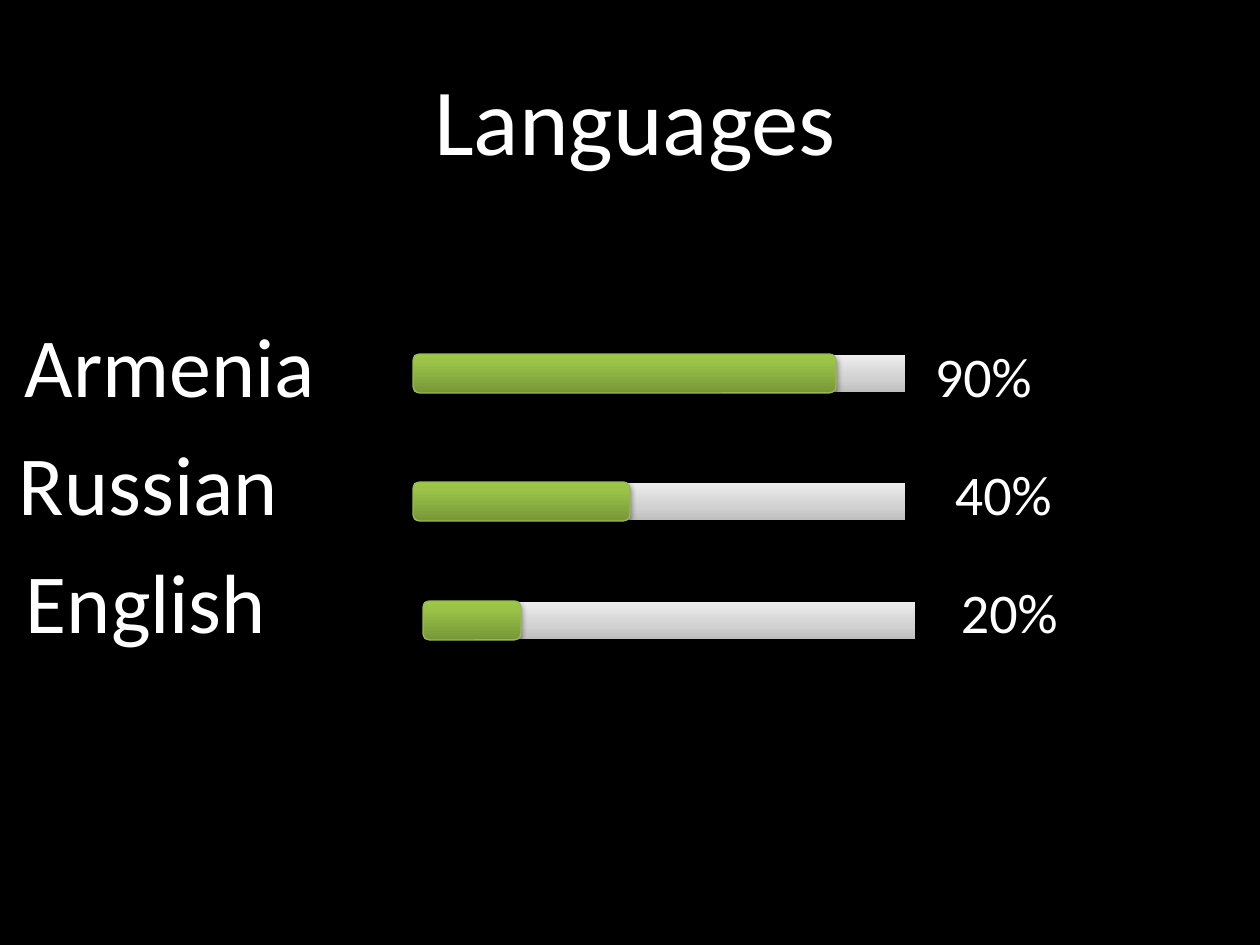
"""Build the language skills slide with its level bars."""
from copy import deepcopy

from lxml import etree
from pptx import Presentation
from pptx.dml.color import RGBColor
from pptx.enum import shapes, text
from pptx.oxml.ns import qn
from pptx.util import Emu, Pt

EMU_PER_PX = 914400 / 126
COLORS = {"black": "000000", "white": "FFFFFF", "bar_edge": "98B955"}
TRACK_STOPS = [(0, "BDBDBD"), (0.35, "D1D1D1"), (1, "EEEEEE")]
LEVEL_STOPS = [(0, "779737"), (0.8, "9BC348"), (1, "9DC746")]
BAR_HEIGHT, TRACK_WIDTH = 39, 493
PANEL_INSET = 19
LANGUAGES = [
    {"name": "Armenia", "level": "90%", "indent": 6, "level_left": 929,
     "bar": (413, 354), "filled": 423},
    {"name": "Russian", "level": "40%", "indent": 0, "level_left": 955,
     "bar": (413, 482), "filled": 217},
    {"name": "English", "level": "20%", "indent": 7, "level_left": 954,
     "bar": (423, 601), "filled": 98},
]


def px(length):
    """Turn pixels into EMU."""
    return Emu(round(length * EMU_PER_PX))


def rgb(name):
    """Look up a named colour."""
    return RGBColor.from_string(COLORS[name])


def apply(target, values):
    """Set each attribute of the target from a dict."""
    for key, value in values.items():
        setattr(target, key, value)


def place(shape, left, top, width, height):
    """Move and size a shape."""
    apply(shape, {"left": px(left), "top": px(top),
                  "width": px(width), "height": px(height)})


def paint_black(shape):
    """Give a shape a black fill and outline."""
    shape.fill.solid()
    shape.fill.fore_color.rgb = rgb("black")
    shape.line.color.rgb = rgb("black")
    shape.line.width = Pt(2)


def add_run(paragraph, wording, size):
    """Add white text of the given size."""
    run = paragraph.add_run()
    run.text = wording
    apply(run.font, {"name": "Calibri", "size": Pt(size), "bold": False})
    run.font.color.rgb = rgb("white")


def add_title(slide):
    """Format the title placeholder as a black band."""
    title = slide.shapes.title
    place(title, 0, 0, 1270, 236)
    paint_black(title)
    title.text_frame.vertical_anchor = text.MSO_ANCHOR.MIDDLE
    paragraph = title.text_frame.paragraphs[0]
    paragraph.alignment = text.PP_ALIGN.CENTER
    add_run(paragraph, "Languages", 54)


def add_language_list(slide):
    """Add the panel that lists each language and its level."""
    panel = slide.shapes.add_shape(shapes.MSO_SHAPE.RECTANGLE, 0, px(220), px(1260), px(725))
    panel.shadow.inherit = False
    paint_black(panel)
    frame = panel.text_frame
    apply(frame, {"word_wrap": True, "vertical_anchor": text.MSO_ANCHOR.TOP,
                  "margin_left": px(PANEL_INSET), "margin_top": px(94)})
    for index, language in enumerate(LANGUAGES):
        paragraph = frame.add_paragraph() if index else frame.paragraphs[0]
        properties = paragraph._p.get_or_add_pPr()
        properties.set("marL", str(px(language["indent"])))
        tabs = etree.SubElement(properties, qn("a:tabLst"))
        level_left = px(language["level_left"] - PANEL_INSET)
        etree.SubElement(tabs, qn("a:tab"), pos=str(level_left), algn="l")
        paragraph.alignment = text.PP_ALIGN.LEFT
        if index:
            paragraph.space_before = Pt(9.6)
        add_run(paragraph, language["name"], 48)
        add_run(paragraph, "\t" + language["level"], 32)


def add_bar(slide, kind, corner, width, stops, edge):
    """Add a shaded bar with a soft shadow below it."""
    bar = slide.shapes.add_shape(kind, 0, 0, 0, 0)
    place(bar, *corner, width, BAR_HEIGHT)
    bar.fill.gradient()
    bar.fill.gradient_angle = 90
    stop_list = bar._element.spPr.find(".//" + qn("a:gsLst"))
    stop_list.append(deepcopy(stop_list[-1]))
    for stop, (position, color) in zip(bar.fill.gradient_stops, stops):
        stop.position = position
        stop.color.rgb = RGBColor.from_string(color)
    bar.line.color.rgb = rgb(edge)
    bar.line.width = Pt(0.75)
    bar.shadow.inherit = False
    effects = bar._element.spPr.find(qn("a:effectLst"))
    shadow = etree.SubElement(effects, qn("a:outerShdw"), blurRad=str(Pt(3.1)),
                              dist=str(Pt(1.6)), dir="5400000", rotWithShape="0")
    tint = etree.SubElement(shadow, qn("a:srgbClr"), val=COLORS["black"])
    etree.SubElement(tint, qn("a:alpha"), val="38000")


def main():
    """Build and save the slide."""
    deck = Presentation()
    apply(deck, {"slide_width": px(1260), "slide_height": px(945)})
    slide = deck.slides.add_slide(deck.slide_layouts[5])
    add_title(slide)
    add_language_list(slide)
    for language in LANGUAGES:
        add_bar(slide, shapes.MSO_SHAPE.RECTANGLE, language["bar"],
                TRACK_WIDTH, TRACK_STOPS, "black")
        add_bar(slide, shapes.MSO_SHAPE.ROUNDED_RECTANGLE, language["bar"],
                language["filled"], LEVEL_STOPS, "bar_edge")
    deck.save("out.pptx")


if __name__ == "__main__":
    main()
